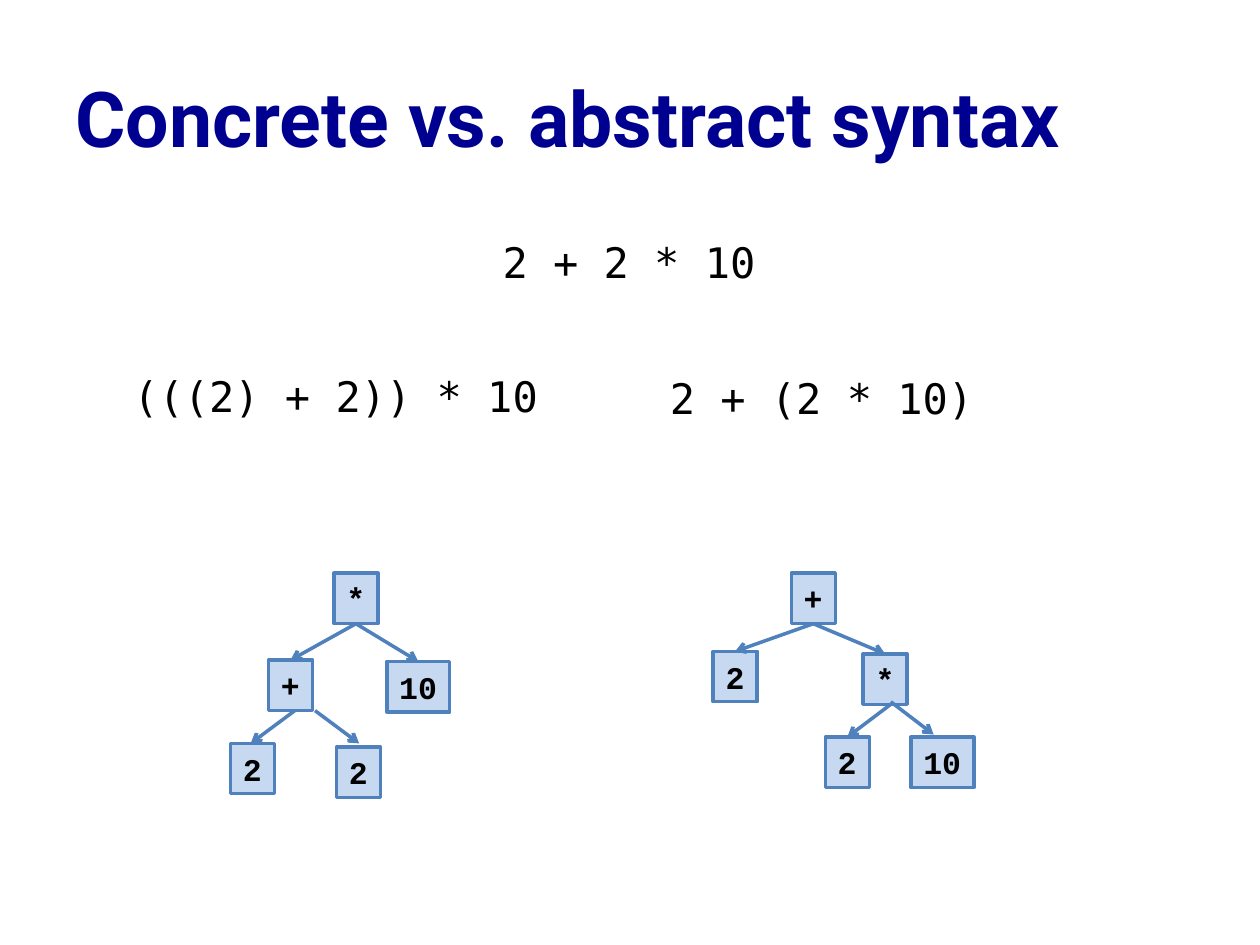
import collections
import pptx
import pptx.util
import pptx.dml.color
import pptx.enum.shapes
import pptx.enum.text
import pptx.oxml.ns
import lxml.etree

RGBColor = pptx.dml.color.RGBColor
NAVY = RGBColor(0x00, 0x00, 0x90)
BLACK = RGBColor(0x00, 0x00, 0x00)
PALE_BLUE = RGBColor(0xC6, 0xD9, 0xF1)
BLUE = RGBColor(0x4F, 0x81, 0xBD)

LEFT = pptx.enum.text.PP_ALIGN.LEFT
CENTER = pptx.enum.text.PP_ALIGN.CENTER
TOP = pptx.enum.text.MSO_ANCHOR.TOP
MIDDLE = pptx.enum.text.MSO_ANCHOR.MIDDLE

# The page is a grid of 100 columns by 75 rows of square cells.
CELL = pptx.util.Inches(0.1)
COLUMNS, ROWS = 100, 75
NODE_HEIGHT = 4

Box = collections.namedtuple("Box", "left top width height")
# right and down lead from the parent's corner to this node's corner;
# start and end move the arrow's (column, row) ends off the edge centres.
Node = collections.namedtuple(
    "Node", "label right down start end children",
    defaults=(0, 0, (0, 0), (0, 0), ()))

LEFT_TREE = Node("*", children=(
    Node("+", -5.2, 6.9, children=(
        Node("2", -3, 6.6, (0.35, 0), (-0.15, 0)),
        Node("2", 5.4, 6.9, (1.95, 0), (0.05, -0.3)))),
    Node("10", 4.2, 7)))
RIGHT_TREE = Node("+", children=(
    Node("2", -6.2, 6.2),
    Node("*", 5.7, 6.4, children=(
        Node("2", -3, 6.6, (0.45, 0)),
        Node("10", 3.8, 6.6, (0.45, -0.2), (-0.7, -0.2))))))


def grid(*lengths):
    """Turn grid cells into slide lengths."""
    return [round(length * CELL) for length in lengths]


def write(shape, text, font, size, color, bold=False, align=LEFT,
          anchor=TOP, wrap=False):
    """Put one line of text in a shape."""
    frame = shape.text_frame
    frame.word_wrap = wrap
    if not wrap:
        frame.auto_size = pptx.enum.text.MSO_AUTO_SIZE.SHAPE_TO_FIT_TEXT
    frame.vertical_anchor = anchor
    para = frame.paragraphs[0]
    para.text = text
    para.alignment = align
    para.font.name = font
    para.font.size = pptx.util.Pt(size)
    para.font.bold = bold
    para.font.color.rgb = color


def add_title(page, box, text):
    """Place the slide title."""
    write(page.shapes.add_textbox(*grid(*box)), text, "Roboto", 44, NAVY,
          bold=True, anchor=MIDDLE, wrap=True)


def add_expression(page, box, text, align=LEFT):
    """Place one line of concrete syntax."""
    write(page.shapes.add_textbox(*grid(*box)), text, "DejaVu Sans Mono", 24,
          BLACK, align=align)


def add_arrow(page, start, end):
    """Draw an arrow between two grid points."""
    arrow = page.shapes.add_connector(
        pptx.enum.shapes.MSO_CONNECTOR.STRAIGHT, *grid(*start, *end))
    arrow.line.color.rgb = BLUE
    arrow.line.width = pptx.util.Pt(2)
    qn = pptx.oxml.ns.qn
    lxml.etree.SubElement(arrow.line._get_or_add_ln(), qn("a:tailEnd"),
                          type="arrow")
    lxml.etree.SubElement(arrow._element.spPr, qn("a:effectLst"))


def add_tree(page, left, top, node):
    """Draw a node with its corner at left and top, then its subtrees.

    Returns the column of the node's centre.
    """
    width = 2 + 1.5 * len(node.label)
    shape = page.shapes.add_shape(
        pptx.enum.shapes.MSO_SHAPE.RECTANGLE,
        *grid(left, top, width, NODE_HEIGHT))
    shape.shadow.inherit = False
    shape.fill.solid()
    shape.fill.fore_color.rgb = PALE_BLUE
    shape.line.color.rgb = BLUE
    shape.line.width = pptx.util.Pt(2)
    write(shape, node.label, "Courier New", 18, BLACK, bold=True)

    center = left + width / 2
    for child in node.children:
        child_top = top + child.down
        child_center = add_tree(page, left + child.right, child_top, child)
        add_arrow(
            page,
            (center + child.start[0], top + NODE_HEIGHT + child.start[1]),
            (child_center + child.end[0], child_top + child.end[1]))
    return center


def build():
    """Build the slide and save it."""
    deck = pptx.Presentation()
    deck.slide_width, deck.slide_height = grid(COLUMNS, ROWS)
    page = deck.slides.add_slide(deck.slide_layouts[6])
    add_title(page, Box(5, 3, 90, 12.5), "Concrete vs. abstract syntax")
    add_expression(page, Box(38.9, 18.3, 22.2, 5), "2 + 2 * 10")
    add_expression(page, Box(9.6, 28.9, 34.3, 5), "(((2) + 2)) * 10")
    add_expression(page, Box(52.1, 29.1, 26.2, 5), "2 + (2 * 10)", CENTER)
    add_tree(page, 26.5, 45.5, LEFT_TREE)
    add_tree(page, 62.8, 45.5, RIGHT_TREE)
    deck.save("out.pptx")


build()
